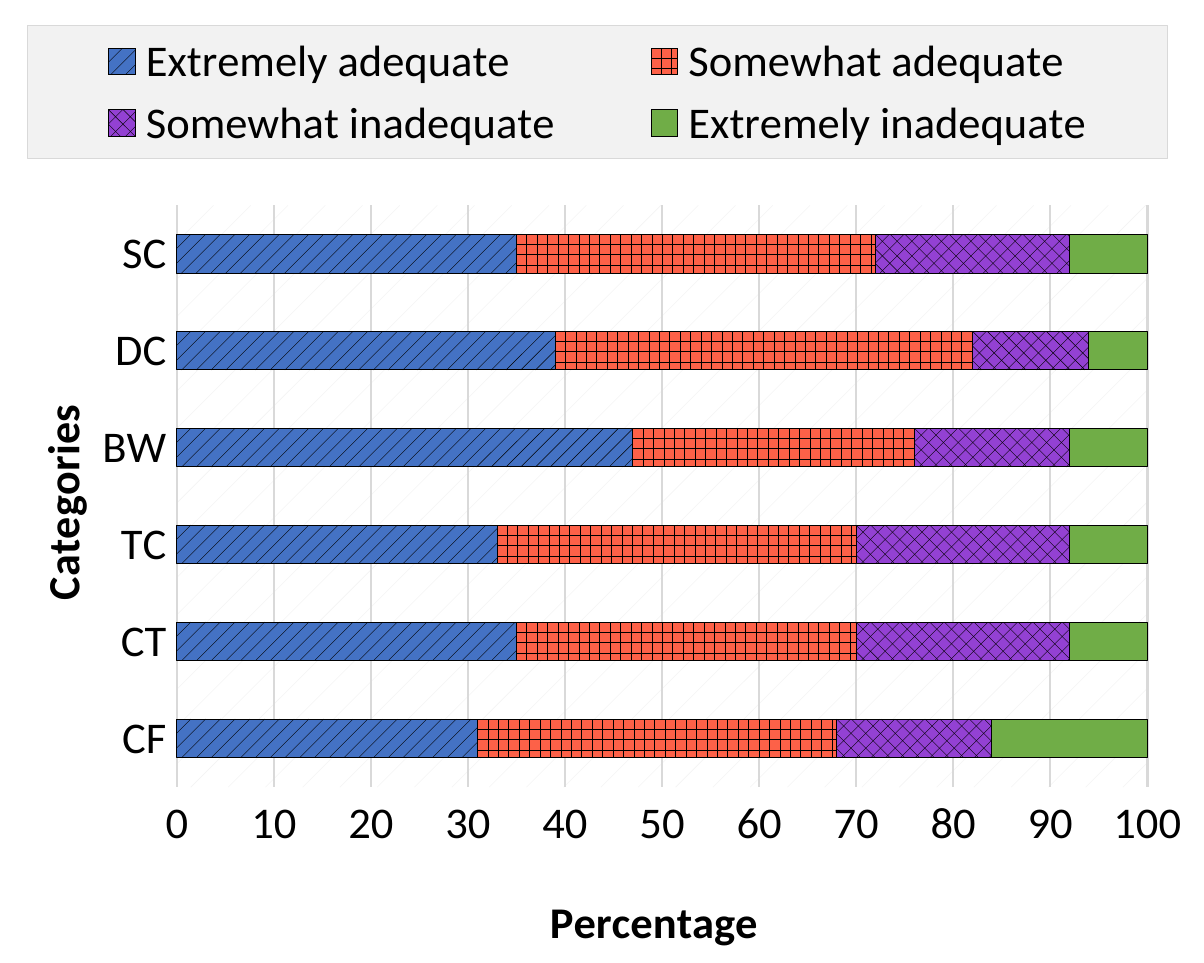
from dataclasses import dataclass

import pptx
import pptx.chart.data
import pptx.dml.color
import pptx.enum.chart
import pptx.enum.dml
import pptx.oxml
import pptx.oxml.ns
import pptx.util

Inches = pptx.util.Inches
Pt = pptx.util.Pt
qn = pptx.oxml.ns.qn
Pattern = pptx.enum.dml.MSO_PATTERN

FONT = "Calibri"
BLACK, GRAY, PALE, WHITE = "000000", "D9D9D9", "F2F2F2", "FFFFFF"
CATEGORIES = ["CF", "CT", "TC", "BW", "DC", "SC"]
NSDECLS = pptx.oxml.ns.nsdecls("c", "a")


@dataclass
class Answer:
    name: str
    values: list[int]
    color: str
    pattern: Pattern | None = None


ANSWERS = [
    Answer("Extremely adequate", [31, 35, 33, 47, 39, 35], "4472C4", Pattern.WIDE_UPWARD_DIAGONAL),
    Answer("Somewhat adequate", [37, 35, 37, 29, 43, 37], "FD6148", Pattern.LARGE_GRID),
    Answer("Somewhat inadequate", [16, 22, 22, 16, 12, 20], "9341D3", Pattern.SOLID_DIAMOND),
    Answer("Extremely inadequate", [16, 8, 8, 8, 6, 8], "70AD47"),
]


def rgb(color: str) -> pptx.dml.color.RGBColor:
    return pptx.dml.color.RGBColor.from_string(color)


def set_font(font, bold: bool = False) -> None:
    font.name, font.size, font.bold = FONT, Pt(12), bold
    font.color.rgb = rgb(BLACK)


def set_line(line, color: str, width: float) -> None:
    line.color.rgb = rgb(color)
    line.width = Pt(width)


def make_layout(x: float, y: float, size: tuple[float, float] | None = None, inner: bool = False):
    """Manual layout in fractions of the chart."""
    parts = [("layoutTarget", "inner")] if inner else []
    parts += [("xMode", "edge"), ("yMode", "edge"), ("x", x), ("y", y)]
    if size:
        parts += [("w", size[0]), ("h", size[1])]
    body = "".join(f'<c:{tag} val="{val}"/>' for tag, val in parts)
    return pptx.oxml.parse_xml(
        f"<c:layout {NSDECLS}><c:manualLayout>{body}</c:manualLayout></c:layout>")


def drop_layout(element) -> None:
    for old in element.findall(qn("c:layout")):
        element.remove(old)


def make_sp_pr(content: str):
    return pptx.oxml.parse_xml(f"<c:spPr {NSDECLS}>{content}</c:spPr>")


def solid(color: str) -> str:
    return f'<a:solidFill><a:srgbClr val="{color}"/></a:solidFill>'


def add_title(axis, text: str, x: float, y: float, vertical: bool = False) -> None:
    axis.has_title = True
    tf = axis.axis_title.text_frame
    tf.text = text
    set_font(tf.paragraphs[0].runs[0].font, bold=True)
    title = axis.axis_title._element
    if vertical:
        body = title.find(".//" + qn("a:bodyPr"))
        body.set("rot", "-5400000")
        body.set("vert", "horz")
    drop_layout(title)
    title.find(qn("c:overlay")).addprevious(make_layout(x, y))


def style_series(series, answer: Answer) -> None:
    fill = series.format.fill
    if answer.pattern is None:
        fill.solid()
        fill.fore_color.rgb = rgb(answer.color)
    else:
        fill.patterned()
        fill.pattern = answer.pattern
        fill.fore_color.rgb = rgb(BLACK)
        fill.back_color.rgb = rgb(answer.color)
    set_line(series.format.line, BLACK, 0.25)


def style_axes(chart) -> None:
    ticks = pptx.enum.chart.XL_TICK_MARK
    for axis in (chart.category_axis, chart.value_axis):
        axis.major_tick_mark = axis.minor_tick_mark = ticks.NONE
        set_font(axis.tick_labels.font)
    cat, val = chart.category_axis, chart.value_axis
    cat.has_major_gridlines = False
    set_line(cat.format.line, GRAY, 0.75)
    val.minimum_scale, val.maximum_scale, val.major_unit = 0, 100, 10
    val.has_major_gridlines = True
    set_line(val.major_gridlines.format.line, GRAY, 0.75)
    val.format.line.fill.background()
    val.tick_labels.number_format = "0"
    val.tick_labels.number_format_is_linked = False
    add_title(cat, "Categories", 0.02, 0.42, vertical=True)
    add_title(val, "Percentage", 0.45, 0.93)


def style_legend(chart) -> None:
    chart.has_legend = True
    legend = chart.legend
    legend.position = pptx.enum.chart.XL_LEGEND_POSITION.TOP
    legend.include_in_layout = False
    set_font(legend.font)
    element = legend._element
    drop_layout(element)
    overlay = element.find(qn("c:overlay"))
    overlay.addprevious(make_layout(0.023, 0.027, (0.947, 0.14)))
    overlay.addnext(make_sp_pr(f'{solid(PALE)}<a:ln w="3175">{solid(GRAY)}</a:ln>'))


def style_plot_area(chart) -> None:
    area = chart._chartSpace.chart.plotArea
    drop_layout(area)
    area.insert(0, make_layout(0.147, 0.216, (0.806, 0.612), inner=True))
    area.append(make_sp_pr(
        f'<a:pattFill prst="pct5"><a:fgClr><a:srgbClr val="{PALE}"/></a:fgClr>'
        f'<a:bgClr><a:srgbClr val="{WHITE}"/></a:bgClr></a:pattFill>'))


def main() -> None:
    prs = pptx.Presentation()
    prs.slide_width, prs.slide_height = Inches(4.5), Inches(3.6)
    slide = prs.slides.add_slide(prs.slide_layouts[6])

    # Chart data
    data = pptx.chart.data.CategoryChartData()
    data.categories = CATEGORIES
    for answer in ANSWERS:
        data.add_series(answer.name, answer.values)

    # Stacked bars
    chart = slide.shapes.add_chart(
        pptx.enum.chart.XL_CHART_TYPE.BAR_STACKED,
        0, 0, prs.slide_width, prs.slide_height, data).chart
    chart.has_title = False
    set_font(chart.font)
    plot = chart.plots[0]
    plot.gap_width, plot.overlap = 150, 100
    for series, answer in zip(plot.series, ANSWERS):
        style_series(series, answer)

    # Axes, legend and plot area
    style_axes(chart)
    style_legend(chart)
    style_plot_area(chart)
    prs.save("out.pptx")


if __name__ == "__main__":
    main()
